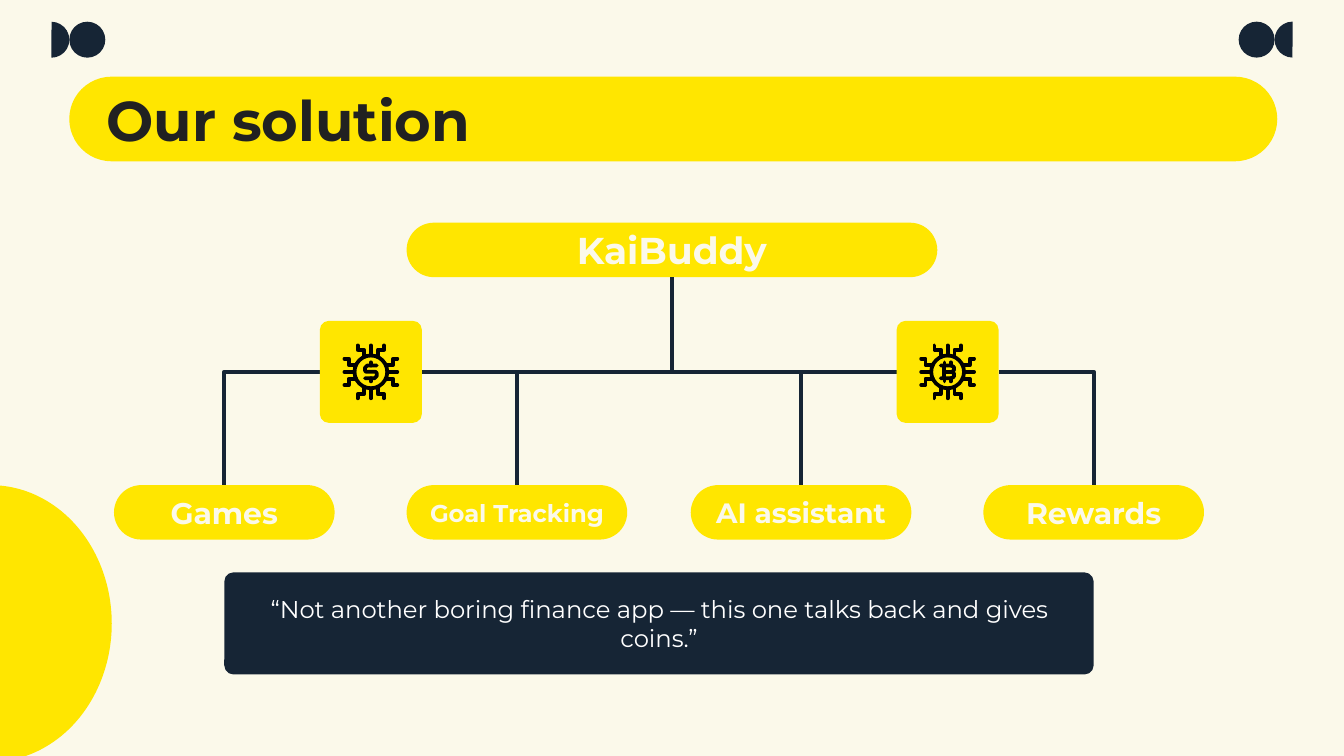
"""Build the "Our solution" slide: one product branching into four features."""
from lxml import etree
from pptx import Presentation
from pptx import util as u
from pptx.dml.color import RGBColor
from pptx.enum import shapes, text
from pptx.oxml.ns import qn

CREAM = RGBColor(0xFB, 0xF9, 0xEA)
YELLOW = RGBColor(0xFF, 0xE6, 0x00)
NAVY = RGBColor(0x16, 0x25, 0x35)
CHARCOAL = RGBColor(0x21, 0x21, 0x21)
WHITE = RGBColor(0xFF, 0xFF, 0xFF)
BLACK = RGBColor(0x00, 0x00, 0x00)
FONT = "Montserrat"

TITLE = "Our solution"
PRODUCT = "KaiBuddy"
QUOTE = "“Not another boring finance app — this one talks back and gives coins.”"
FEATURES = [
    ("Games", 16, 4.24),
    ("Goal Tracking", 13, 9.77),
    ("AI assistant", 15, 15.14),
    ("Rewards", 16, 20.67),
]
DOLLAR = [
    [(11, -12), (-7, -12), (-11, -8), (-11, -2), (-9, 0), (9, 0),
     (11, 2), (11, 8), (7, 12), (-11, 12)],
    [(0, -12), (0, -18)],
    [(0, 12), (0, 18)],
]
COIN = [
    [(-13, -12), (7, -12), (12, -9), (12, -3), (8, 0), (12, 3), (12, 9), (7, 12), (-13, 12)],
    [(-7, -12), (-7, 12)],
    [(-7, 0), (8, 0)],
    *[[(x, y), (x, y * 1.5)] for x in (-6, 6) for y in (-12, 12)],
]
TOP_TRACES = [
    [(0, -31), (0, -50)],
    [(-13, -28), (-13, -42), (-25, -42), (-25, -50)],
    [(13, -28), (13, -42), (25, -42), (25, -50)],
]
TILES = [(DOLLAR, 7.01), (COIN, 17.91)]

WIDTH, HEIGHT = 25.4, 14.29
CENTER = WIDTH / 2
PILL_HEIGHT = 1.03
PRODUCT_TOP, PRODUCT_WIDTH = 4.21, 10.03
FEATURE_TOP, FEATURE_WIDTH = 9.17, 4.17
BRANCH_Y, BRANCH_REACH = 7.03, 3.89
TILE_SIZE = 1.93
RING_SIZE = 0.62
DOT_SIZE, DOT_TOP = 0.68, 0.41
HALF_PIE = (54.58, 162)


def add_block(slide, kind, left, top, width, height, color, adjustments=()):
    shape = slide.shapes.add_shape(kind, u.Cm(left), u.Cm(top), u.Cm(width), u.Cm(height))
    shape.shadow.inherit = False
    shape.fill.solid()
    shape.fill.fore_color.rgb = color
    shape.line.fill.background()
    for index, value in enumerate(adjustments):
        shape.adjustments[index] = value
    return shape


def add_rounded(slide, left, top, width, height, color, radius=0.5):
    kind = shapes.MSO_SHAPE.ROUNDED_RECTANGLE
    return add_block(slide, kind, left, top, width, height, color, [radius])


def write(shape, words, size, color, bold, align=text.PP_ALIGN.CENTER, inset=0.25):
    frame = shape.text_frame
    frame.text = words
    frame.word_wrap = True
    frame.auto_size = text.MSO_AUTO_SIZE.NONE
    frame.vertical_anchor = text.MSO_ANCHOR.MIDDLE
    frame.margin_left = frame.margin_right = u.Cm(inset)
    frame.margin_top = frame.margin_bottom = u.Cm(inset)
    paragraph = frame.paragraphs[0]
    paragraph.alignment = align
    font = paragraph.runs[0].font
    font.name, font.size, font.bold = FONT, u.Pt(size), bold
    font.color.rgb = color


def add_branch(slide, start_x, end_x, end_y):
    connector = slide.shapes.add_connector(
        shapes.MSO_CONNECTOR.ELBOW,
        u.Cm(start_x), u.Cm(BRANCH_Y), u.Cm(end_x), u.Cm(end_y))
    connector.line.color.rgb = NAVY
    connector.line.width = u.Pt(2.25)
    properties = connector._element.spPr
    properties.find(qn("a:prstGeom")).set("prst", "bentConnector2")
    etree.SubElement(properties, qn("a:effectLst"))


def outline(shape):
    shape.shadow.inherit = False
    shape.fill.background()
    shape.line.color.rgb = BLACK
    shape.line.width = u.Pt(2)
    shape.line._get_or_add_ln().set("cap", "rnd")


def add_icon(slide, symbol, center_x):
    strokes = list(symbol)
    traces = TOP_TRACES
    for _ in range(4):
        strokes += traces
        traces = [[(-y, x) for x, y in trace] for trace in traces]
    builder = slide.shapes.build_freeform(*strokes[0][0], scale=u.Cm(0.01))
    builder.add_line_segments(strokes[0][1:], close=False)
    for stroke in strokes[1:]:
        builder.move_to(*stroke[0])
        builder.add_line_segments(stroke[1:], close=False)
    outline(builder.convert_to_shape(u.Cm(center_x), u.Cm(BRANCH_Y)))
    outline(add_block(slide, shapes.MSO_SHAPE.OVAL, center_x - RING_SIZE / 2,
                      BRANCH_Y - RING_SIZE / 2, RING_SIZE, RING_SIZE, BLACK))


def add_decoration(slide):
    pie, oval = shapes.MSO_SHAPE.CHORD, shapes.MSO_SHAPE.OVAL
    pie = shapes.MSO_SHAPE.PIE
    for mirrored in (False, True):
        for kind, offset, adjustments in ((pie, 0.63, HALF_PIE), (oval, 1.31, ())):
            left = WIDTH - offset - DOT_SIZE if mirrored else offset
            dot = add_block(slide, kind, left, DOT_TOP, DOT_SIZE, DOT_SIZE, NAVY, adjustments)
            dot.rotation = 0 if mirrored else 180
    add_block(slide, pie, -2.46, 9.17, 4.57, 5.23, YELLOW, HALF_PIE).rotation = 180


def add_heading(slide):
    add_rounded(slide, 1.31, 1.45, 22.83, 1.6, YELLOW)
    title = slide.shapes.title
    slide.shapes._spTree.append(title._element)
    title.left, title.top, title.width, title.height = map(u.Cm, (2.01, 1.45, 21.41, 1.6))
    write(title, TITLE, 30, CHARCOAL, True, text.PP_ALIGN.LEFT, 0)


def add_tree(slide):
    product = add_rounded(slide, CENTER - PRODUCT_WIDTH / 2, PRODUCT_TOP,
                          PRODUCT_WIDTH, PILL_HEIGHT, YELLOW)
    write(product, PRODUCT, 20, CREAM, True)
    for label, size, center_x in FEATURES:
        pill = add_rounded(slide, center_x - FEATURE_WIDTH / 2, FEATURE_TOP,
                           FEATURE_WIDTH, PILL_HEIGHT, YELLOW)
        write(pill, label, size, CREAM, True)
    for index, (symbol, tile_x) in enumerate(TILES):
        inward = 1 if tile_x < CENTER else -1
        add_branch(slide, CENTER - inward * BRANCH_REACH, CENTER, PRODUCT_TOP + PILL_HEIGHT)
        for _, _, center_x in FEATURES[2 * index:2 * index + 2]:
            side = 1 if center_x > tile_x else -1
            add_branch(slide, tile_x + side * TILE_SIZE / 2, center_x, FEATURE_TOP)
        add_rounded(slide, tile_x - TILE_SIZE / 2, BRANCH_Y - TILE_SIZE / 2,
                    TILE_SIZE, TILE_SIZE, YELLOW, 0.09)
        add_icon(slide, symbol, tile_x)


def main():
    presentation = Presentation()
    presentation.slide_width, presentation.slide_height = u.Cm(WIDTH), u.Cm(HEIGHT)
    slide = presentation.slides.add_slide(presentation.slide_layouts[5])
    slide.background.fill.solid()
    slide.background.fill.fore_color.rgb = CREAM
    add_decoration(slide)
    add_heading(slide)
    quote = add_rounded(slide, 4.24, 10.82, 16.43, 1.93, NAVY, 0.09)
    write(quote, QUOTE, 13, WHITE, False)
    add_tree(slide)
    presentation.save("out.pptx")


if __name__ == "__main__":
    main()
